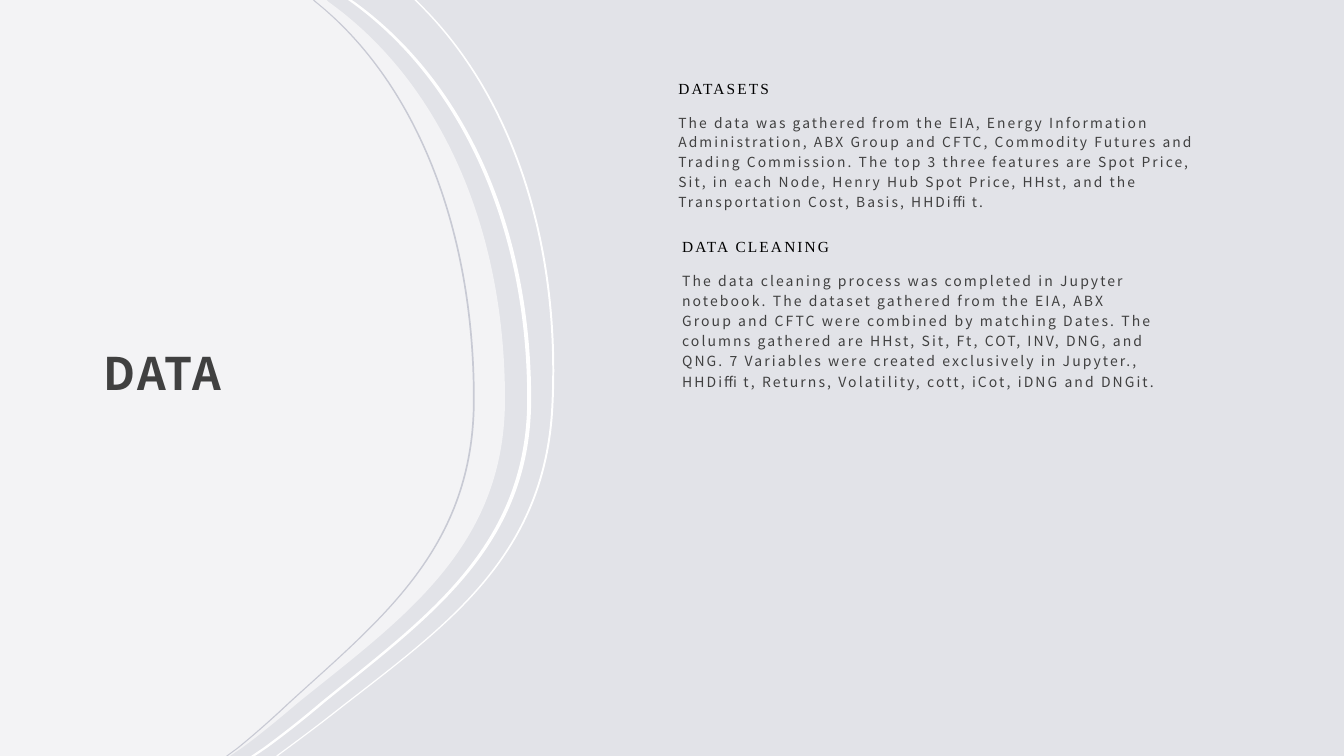
from lxml import etree
from pptx import Presentation
from pptx.dml.color import RGBColor
from pptx.enum.text import MSO_ANCHOR, MSO_AUTO_SIZE, PP_ALIGN
from pptx.oxml.ns import qn
from pptx.util import Pt

MIDDLE, TOP = MSO_ANCHOR.MIDDLE, MSO_ANCHOR.TOP
FIXED, GROW = MSO_AUTO_SIZE.NONE, MSO_AUTO_SIZE.SHAPE_TO_FIT_TEXT
LEFT = PP_ALIGN.LEFT

BACK = RGBColor(0xE2, 0xE3, 0xE8)
WHITE = RGBColor(0xFF, 0xFF, 0xFF)
GREY = RGBColor(0xC8, 0xCA, 0xD4)
DARK = RGBColor(0x40, 0x40, 0x40)
BLACK = RGBColor(0, 0, 0)
SANS, SERIF = "Noto Sans CJK JP", "Times New Roman"

# Content
TITLE = "DATA"
WIDE, TIGHT = (8.64, 8.64, 8.64, 7.2), (7.2, 3.6, 7.2, 3.6)
# heading, body, body size, box, insets, anchor, autosize
NOTES = [
    ("DATASETS",
     "The data was gathered from the EIA, Energy Information Administration, "
     "ABX Group and CFTC, Commodity Futures and Trading Commission. The top 3 "
     "three features are Spot Price, Sit, in each Node, Henry Hub Spot Price, "
     "HHst, and the Transportation Cost, Basis, HHDiffit.",
     9.9, (475.9, 39.6, 392.4, 123.8), WIDE, MIDDLE, FIXED),
    ("DATA CLEANING",
     "The data cleaning process was completed in Jupyter notebook. The dataset "
     "gathered from the EIA, ABX Group and CFTC were combined by matching "
     "Dates. The columns gathered are HHst, Sit, Ft, COT, INV, DNG, and QNG. "
     "7 Variables were created exclusively in Jupyter., HHDiffit, Returns, "
     "Volatility, cott, iCot, iDNG and DNGit.",
     10, (480.2, 163.4, 355.7, 177.8), TIGHT, TOP, GROW),
]

# Edges run top to bottom: an end, three joined curves, an end
INNER = (0, 1.4, 59.8, 164.9, 285.1, 391, 441.4, 501.8, 513.4, 524.2, 534.2, 540)
OUTER = (0, 2.2, 67.7, 172.8, 289.4, 399.6, 448.6, 508.3, 519.1, 529.2, 539.3, 540)
PANEL = (233.3, 234.7, 316.1, 360.7, 360.7, 360.7,
         288, 213.1, 199.4, 186.5, 172.8, 164.2)
# x values, y values, width, colour
BANDS = [
    ((297.4, 299.5, 366.5, 401, 395.3, 390.2,
      316.8, 240.5, 226.8, 213.1, 199.4, 198.7), OUTER, 1.4, WHITE),
    ((251.3, 253.4, 334.1, 379.4, 379.4, 379.4,
      306, 231.8, 218.2, 204.5, 190.8, 182.2), INNER, 2.8, WHITE),
    ((224.6, 226.1, 298.8, 339.1, 339.1, 339.1,
      273.6, 207.4, 195.1, 182.9, 170.6, 162.7), INNER, 1.2, GREY),
]
CUTS = (0, 1, 2, 5, 8, 11, 12)


def split(dots):
    """Cut an edge into lines (one point) and curves (three points)."""
    return [dots[a:b] for a, b in zip(CUTS, CUTS[1:])]


def draw(slide, parts, color):
    parts = [[(Pt(x), Pt(y)) for x, y in part] for part in parts]
    ends = [part[-1] for part in parts]
    pen = slide.shapes.build_freeform(*ends[0])
    pen.add_line_segments(ends[1:], close=True)
    shape = pen.convert_to_shape()
    # Bend the lines that have control points
    lines = list(shape.element.iter(qn("a:lnTo")))
    for line, part in zip(lines, parts[1:]):
        if len(part) == 3:
            curve = etree.Element(qn("a:cubicBezTo"))
            for x, y in part:
                dot = etree.SubElement(curve, qn("a:pt"))
                dot.set("x", str(x - shape.left))
                dot.set("y", str(y - shape.top))
            line.getparent().replace(line, curve)
    shape.shadow.inherit = False
    shape.fill.solid()
    shape.fill.fore_color.rgb = color
    shape.line.fill.background()
    return shape


def place(shape, box):
    shape.left, shape.top, shape.width, shape.height = map(Pt, box)


def frame(shape, insets, anchor, fit):
    text = shape.text_frame
    text.word_wrap = True
    text.auto_size = fit
    text.vertical_anchor = anchor
    (text.margin_left, text.margin_top,
     text.margin_right, text.margin_bottom) = map(Pt, insets)
    return text


def style(para, size, font, color, gap, bold=False, before=0):
    para.alignment = LEFT
    para.line_spacing = gap
    para.space_before = Pt(before)
    for run in para.runs:
        run.font.size = Pt(size)
        run.font.name = font
        run.font.bold = bold
        run.font.color.rgb = color
        run.font._element.set("spc", "150")


def main():
    deck = Presentation()
    deck.slide_width, deck.slide_height = Pt(960), Pt(540)
    slide = deck.slides.add_slide(deck.slide_layouts[5])
    slide.background.fill.solid()
    slide.background.fill.fore_color.rgb = BACK

    # Curved panel, 60 % opaque
    edge = split(list(zip(PANEL, INNER)))
    panel = draw(slide, [[(0, 0)]] + edge + [[(0, 540)]], WHITE)
    tint = panel.element.spPr.find(qn("a:solidFill"))[0]
    etree.SubElement(tint, qn("a:alpha")).set("val", "60000")

    # Curved bands: down the right edge, back up the left
    for xs, ys, width, color in BANDS:
        down = list(zip(xs, ys))
        back = [(x - width, y) for x, y in reversed(down)]
        draw(slide, split(down) + split(back), color)

    # Title, brought above the panel
    title = slide.shapes.title
    title.element.getparent().append(title.element)
    place(title, (65.5, 144, 249.1, 231.1))
    text = frame(title, WIDE, MIDDLE, FIXED)
    text.text = TITLE
    style(text.paragraphs[0], 32, SANS, DARK, 1.3, bold=True)

    # Notes
    for head, body, size, box, insets, anchor, fit in NOTES:
        note = slide.shapes.add_textbox(*map(Pt, box))
        text = frame(note, insets, anchor, fit)
        text.text = head
        style(text.paragraphs[0], 11, SERIF, BLACK, 1.2, before=9.3)
        para = text.add_paragraph()
        para.text = body
        style(para, size, SANS, DARK, 1.2, before=9.3)

    deck.save("out.pptx")


if __name__ == "__main__":
    main()
